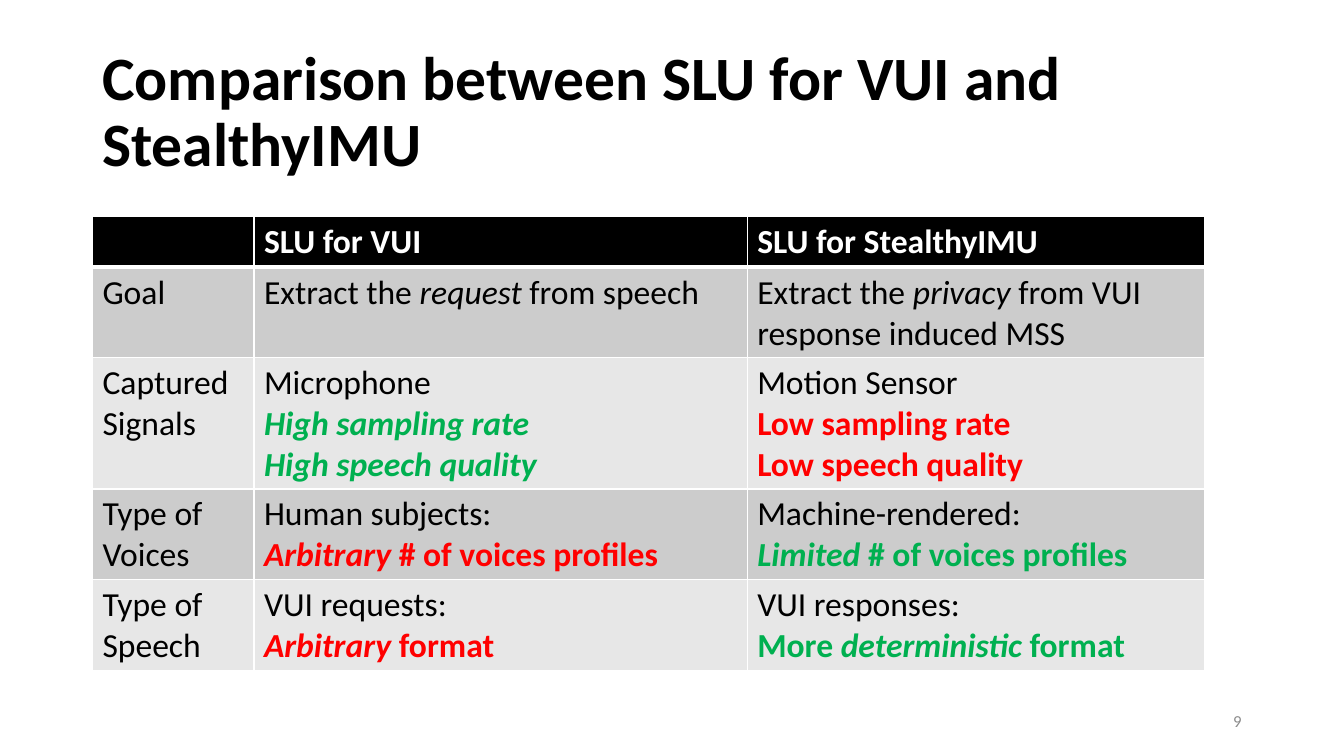
from dataclasses import dataclass

from pptx import Presentation
from pptx import util as u
from pptx.dml.color import RGBColor
from pptx.enum import text
from pptx.oxml import parse_xml
from pptx.oxml.ns import nsdecls

COLORS = {
    "black": "000000", "white": "FFFFFF", "grey": "8C8C8C",
    "good": "00B050", "bad": "FF0000",
    "dark_band": "CCCCCC", "light_band": "E7E7E7",
}
FONT = "Calibri"


@dataclass(frozen=True)
class Run:
    words: str
    color: str = "black"
    bold: bool = False
    italic: bool = False
    size: float = 24


@dataclass(frozen=True)
class Label:
    left: float
    top: float
    width: float
    height: float
    run: Run
    align: text.PP_ALIGN
    line_spacing: float = 1.0


Lines = list[list[Run]]


def plain(words: str) -> list[Run]:
    return [Run(words)]


def good(words: str, italic: bool = False) -> Run:
    return Run(words, "good", True, italic)


def bad(words: str, italic: bool = False) -> Run:
    return Run(words, "bad", True, italic)


def header(words: str) -> Lines:
    return [[Run(words, "white", True)]]


# Content
LABELS = [
    Label(2.33, 1.02, 30.48, 3.68,
          Run("Comparison between SLU for VUI and StealthyIMU", bold=True, size=44),
          text.PP_ALIGN.LEFT, 0.9),
    Label(23.92, 17.65, 7.62, 1.01, Run("9", "grey", size=12), text.PP_ALIGN.RIGHT),
]
COLUMN_WIDTHS = [4.07, 12.43, 11.52]
ROW_HEIGHTS = [1.22, 2.18, 3.15, 2.18, 2.18]
ROWS: list[list[Lines]] = [
    [[], header("SLU for VUI"), header("SLU for StealthyIMU")],
    [
        [plain("Goal")],
        [[Run("Extract the "), Run("request ", italic=True), Run("from speech")]],
        [[Run("Extract the "), Run("privacy", italic=True),
          Run(" from VUI response induced MSS")]],
    ],
    [
        [plain("Captured Signals")],
        [plain("Microphone"), [good("High sampling rate", True)],
         [good("High speech quality", True)]],
        [plain("Motion Sensor"), [bad("Low sampling rate")], [bad("Low speech quality")]],
    ],
    [
        [plain("Type of Voices")],
        [plain("Human subjects:"), [bad("Arbitrary", True), bad(" # of voices profiles")]],
        [plain("Machine-rendered:"), [good("Limited", True), good(" # of voices profiles")]],
    ],
    [
        [plain("Type of Speech")],
        [plain("VUI requests:"), [bad("Arbitrary", True), bad(" format")]],
        [plain("VUI responses:"),
         [good("More "), good("deterministic", True), good(" format")]],
    ],
]


def add_run(paragraph, run: Run) -> None:
    piece = paragraph.add_run()
    piece.text = run.words
    formats = {"name": FONT, "size": u.Pt(run.size), "bold": run.bold, "italic": run.italic}
    for attribute, value in formats.items():
        setattr(piece.font, attribute, value)
    piece.font.color.rgb = RGBColor.from_string(COLORS[run.color])


def add_label(slide, label: Label) -> None:
    box = slide.shapes.add_textbox(
        u.Cm(label.left), u.Cm(label.top), u.Cm(label.width), u.Cm(label.height))
    formats = {"word_wrap": True, "vertical_anchor": text.MSO_ANCHOR.MIDDLE}
    for attribute, value in formats.items():
        setattr(box.text_frame, attribute, value)
    paragraph = box.text_frame.paragraphs[0]
    paragraph.alignment = label.align
    paragraph.line_spacing = label.line_spacing
    add_run(paragraph, label.run)


def set_borders(cell, widths: dict[str, float]) -> None:
    properties = cell._tc.get_or_add_tcPr()
    for side, width in widths.items():
        properties.append(parse_xml(
            f'<a:ln{side} {nsdecls("a")} w="{u.Pt(width)}"><a:solidFill>'
            f'<a:srgbClr val="{COLORS["white"]}"/></a:solidFill></a:ln{side}>'))


def fill_cell(cell, lines: Lines, row: int) -> None:
    # The line under the header is heavier than the rest
    set_borders(cell, {"L": 1, "R": 1, "T": 3 if row == 1 else 1, "B": 3 if row == 0 else 1})
    band = "black" if row == 0 else "dark_band" if row % 2 else "light_band"
    cell.fill.solid()
    cell.fill.fore_color.rgb = RGBColor.from_string(COLORS[band])
    for index, runs in enumerate(lines):
        frame = cell.text_frame
        paragraph = frame.add_paragraph() if index else frame.paragraphs[0]
        for run in runs:
            add_run(paragraph, run)


def add_comparison(slide) -> None:
    table = slide.shapes.add_table(
        len(ROW_HEIGHTS), len(COLUMN_WIDTHS), u.Cm(2.33), u.Cm(5.46),
        u.Cm(sum(COLUMN_WIDTHS)), u.Cm(sum(ROW_HEIGHTS))).table
    for column, width in zip(table.columns, COLUMN_WIDTHS):
        column.width = u.Cm(width)
    for row, height in enumerate(ROW_HEIGHTS):
        table.rows[row].height = u.Cm(height)
        for column, lines in enumerate(ROWS[row]):
            fill_cell(table.cell(row, column), lines, row)


def main() -> None:
    presentation = Presentation()
    presentation.slide_width = u.Cm(33.87)
    presentation.slide_height = u.Cm(19.05)
    slide = presentation.slides.add_slide(presentation.slide_layouts[6])

    # Title and page number
    for label in LABELS:
        add_label(slide, label)

    # Comparison table
    add_comparison(slide)
    presentation.save("out.pptx")


if __name__ == "__main__":
    main()
